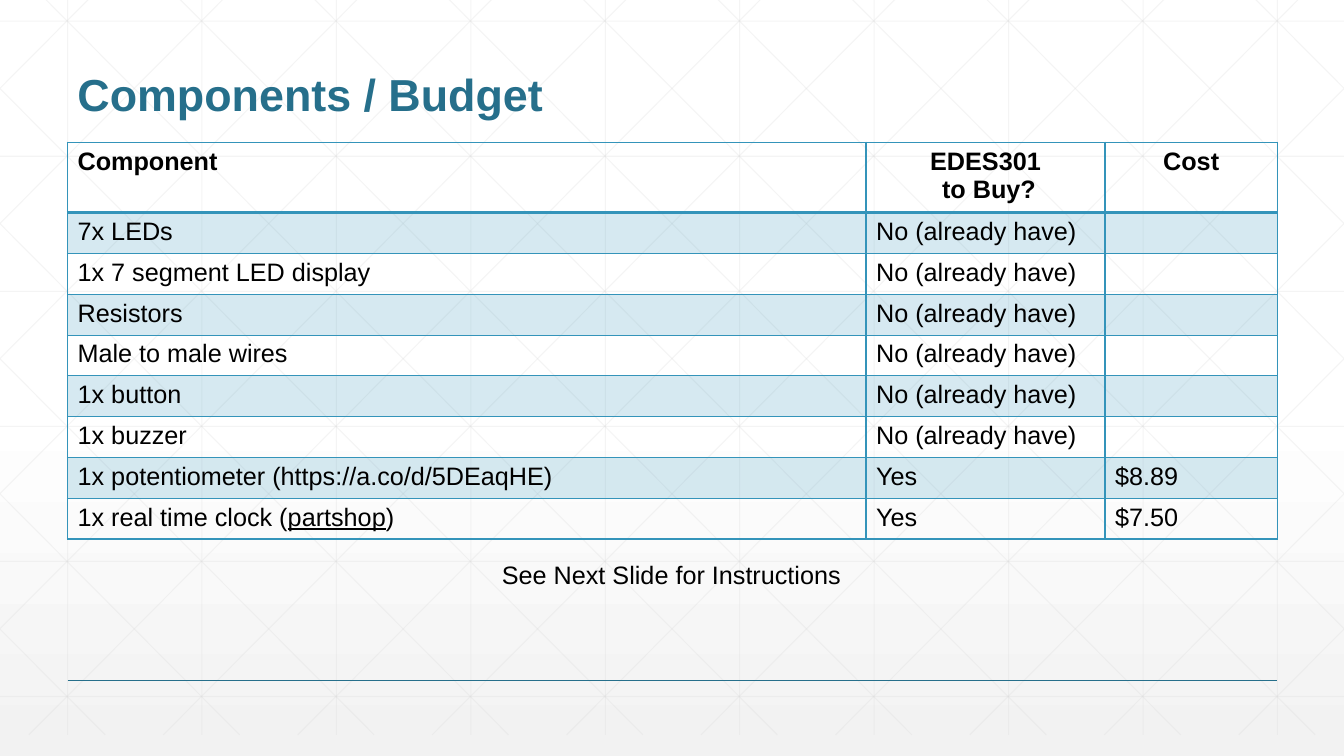
from lxml.etree import SubElement
from pptx import Presentation
from pptx.dml.color import RGBColor
from pptx.enum.shapes import MSO_CONNECTOR
from pptx.enum.text import MSO_ANCHOR, PP_ALIGN
from pptx.oxml import parse_xml
from pptx.oxml.ns import nsdecls, qn
from pptx.util import Inches, Pt

COLORS = {"grid": "D8D8D8", "title": "266F8B", "accent": "3494BA",
          "text": "000000", "paper": "FFFFFF", "shade": "F2F2F2"}
WIDTH, HEIGHT = 13.33, 7.5
GRID_STEP = 4 / 3
HEADER = ["Component", "EDES301\n to Buy?", "Cost"]
OWNED = ["7x LEDs", "1x 7 segment LED display", "Resistors",
         "Male to male wires", "1x button", "1x buzzer"]
ROWS = [HEADER] + [[part, "No (already have)", ""] for part in OWNED] + [
    ["1x potentiometer (https://a.co/d/5DEaqHE)", "Yes", "$8.89"],
    ["1x real time clock (_partshop_)", "Yes", "$7.50"],
]
BODY = {"size": Pt(18), "name": "Arial", "bold": False}
HEADING = {**BODY, "bold": True}
TITLE = {**HEADING, "size": Pt(32)}


def rgb(color):
    return RGBColor.from_string(COLORS[color])


def set_alpha(parent, percent):
    for color in parent.iter(qn("a:srgbClr")):
        SubElement(color, qn("a:alpha")).set("val", str(percent * 1000))


def write(frame, text, formats, color="text", align=PP_ALIGN.LEFT):
    frame.word_wrap = True
    for index, line in enumerate(text.split("\n")):
        paragraph = frame.paragraphs[0] if index == 0 else frame.add_paragraph()
        paragraph.alignment = align
        for position, part in enumerate(line.split("_")):
            run = paragraph.add_run()
            run.text = part
            for key, value in formats.items():
                setattr(run.font, key, value)
            run.font.color.rgb = rgb(color)
            if position % 2:
                run.font.underline = True


def add_line(slide, start, end, color, width, alpha=100):
    line = slide.shapes.add_connector(
        MSO_CONNECTOR.STRAIGHT, *[Inches(value) for value in (*start, *end)])
    line.line.color.rgb = rgb(color)
    line.line.width = Pt(width)
    properties = line._element.spPr
    if alpha < 100:
        set_alpha(properties, alpha)
    SubElement(properties, qn("a:effectLst"))


def add_background(slide):
    fill = slide.background.fill
    fill.gradient()
    fill.gradient_angle = 270
    for stop, position, color in zip(fill.gradient_stops, (0.53, 1), ("paper", "shade")):
        stop.position = position
        stop.color.rgb = rgb(color)


def add_grid(slide, left, top, width, height):
    right, bottom = left + width, top + height
    segments = []
    for column in range(10):
        x = left + 0.67 + column * GRID_STEP
        segments.append(((x, top), (x, bottom)))
    for row in range(6):
        y = top + 0.42 + row * 1.34
        segments.append(((left, y), (right, y)))
    for diagonal in range(-5, 10):
        x = left + 0.25 + diagonal * GRID_STEP
        x1, x2 = max(x, left), min(x + 7.46, right)
        y1, y2 = [top + (edge - x) * height / 7.46 for edge in (x1, x2)]
        segments.append(((x1, y1), (x2, y2)))
        segments.append(((left + right - x1, y1), (left + right - x2, y2)))
    for start, end in segments:
        add_line(slide, start, end, "grid", 0.75, 25)


def add_text(slide, box, text, formats, color="text", anchor=MSO_ANCHOR.TOP):
    frame = slide.shapes.add_textbox(*[Inches(value) for value in box]).text_frame
    frame.vertical_anchor = anchor
    write(frame, text, formats, color)
    return frame


def set_borders(cell, top, bottom):
    properties = cell._tc.get_or_add_tcPr()
    widths = {"lnL": 1, "lnR": 1, "lnT": top, "lnB": bottom}
    for index, (side, width) in enumerate(widths.items()):
        properties.insert(index, parse_xml(
            f'<a:{side} {nsdecls("a")} w="{Pt(width)}"><a:solidFill>'
            f'<a:srgbClr val="{COLORS["accent"]}"/></a:solidFill></a:{side}>'))


def add_budget(slide, left, top, width, height):
    header_height = 0.66
    row_height = (height - header_height) / (len(ROWS) - 1)
    budget = slide.shapes.add_table(
        len(ROWS), len(HEADER), *[Inches(value) for value in (left, top, width, height)]).table
    for column, share in zip(budget.columns, (7.92, 2.37, 1.71)):
        column.width = Inches(width * share / 12)
    for index, texts in enumerate(ROWS):
        heading = index == 0
        budget.rows[index].height = Inches(header_height if heading else row_height)
        for column, text in enumerate(texts):
            cell = budget.cell(index, column)
            centred = heading and column > 0
            write(cell.text_frame, text, HEADING if heading else BODY,
                  align=PP_ALIGN.CENTER if centred else PP_ALIGN.LEFT)
            if index % 2:
                cell.fill.solid()
                cell.fill.fore_color.rgb = rgb("accent")
                set_alpha(cell._tc.tcPr, 20)
            else:
                cell.fill.background()
            set_borders(cell, 2 if index == 1 else 1, 2 if heading else 1)


def build_budget_slide(slide, left, width):
    add_background(slide)
    add_grid(slide, 0, -0.21, WIDTH, HEIGHT)
    add_line(slide, (left, 6.75), (left + width, 6.75), "title", 1)
    title = add_text(slide, (left, 0.25, width, 1), "Components / Budget",
                     TITLE, "title", MSO_ANCHOR.BOTTOM)
    title.paragraphs[0].line_spacing = 0.9
    add_budget(slide, left, 1.41, width, 3.9)
    add_text(slide, (left + 4.21, 5.5, 3.6, 0.4), "See Next Slide for Instructions", BODY)


def main():
    presentation = Presentation()
    presentation.slide_width = Inches(WIDTH)
    presentation.slide_height = Inches(HEIGHT)
    slide = presentation.slides.add_slide(presentation.slide_layouts[6])
    build_budget_slide(slide, 0.67, 12)
    presentation.save("out.pptx")


if __name__ == "__main__":
    main()
